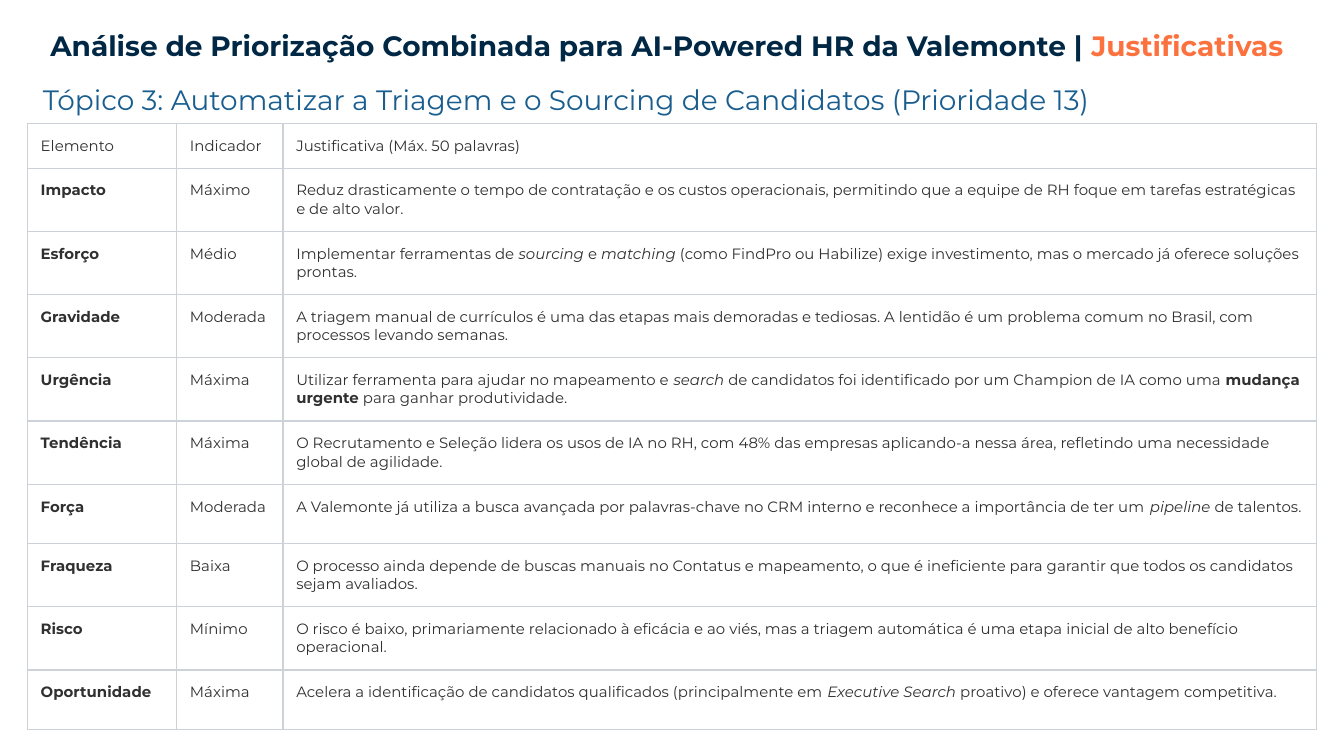
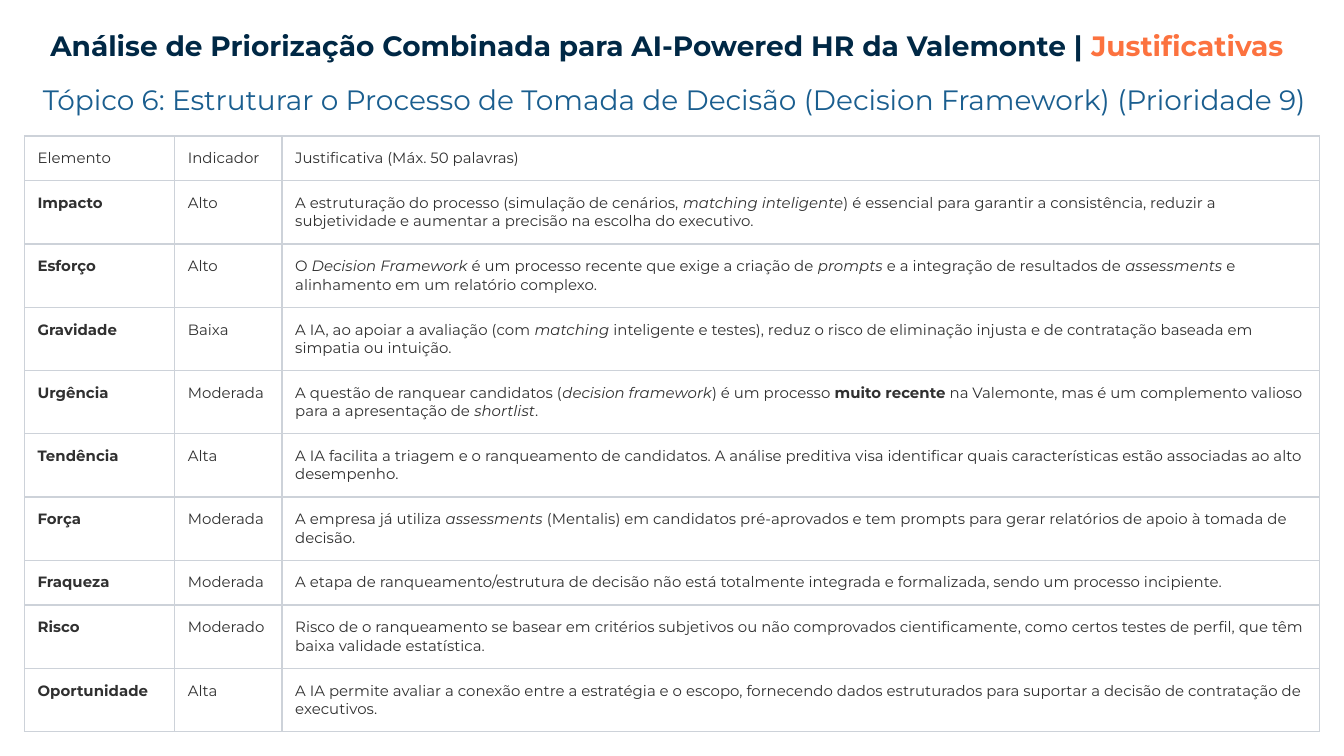
from lxml import etree
from pptx import Presentation
from pptx.dml.color import RGBColor as RGB
from pptx.enum.text import MSO_ANCHOR as Anchor, MSO_AUTO_SIZE as Fit, PP_ALIGN as Align
from pptx.oxml.ns import qn
from pptx.util import Cm, Pt

NAVY = RGB(0x00, 0x28, 0x45)
ORANGE = RGB(0xFC, 0x72, 0x3F)
BLUE = RGB(0x1A, 0x5E, 0x8F)
INK = RGB(0x30, 0x30, 0x30)
GRID = RGB(0xCD, 0xD2, 0xD9)
WHITE = RGB(0xFF, 0xFF, 0xFF)
FACE = "Montserrat"
PAD = Cm(0.25)

TITLE = "Análise de Priorização Combinada para AI-Powered HR da Valemonte | "
HEAD = ("Elemento", "Indicador", "Justificativa (Máx. 50 palavras)")
NAMES = ("Impacto", "Esforço", "Gravidade", "Urgência", "Tendência",
         "Força", "Fraqueza", "Risco", "Oportunidade")

# In the reasons, *text* is bold and _text_ is italic.
SEARCH = [
    ("Máximo", "Reduz drasticamente o tempo de contratação e os custos operacionais, "
     "permitindo que a equipe de RH foque em tarefas estratégicas e de alto valor."),
    ("Médio", "Implementar ferramentas de _sourcing_ e _matching_ (como FindPro ou Habilize) "
     "exige investimento, mas o mercado já oferece soluções prontas."),
    ("Moderada", "A triagem manual de currículos é uma das etapas mais demoradas e tediosas. "
     "A lentidão é um problema comum no Brasil, com processos levando semanas."),
    ("Máxima", "Utilizar ferramenta para ajudar no mapeamento e _search_ de candidatos foi "
     "identificado por um Champion de IA como uma *mudança urgente* para ganhar produtividade."),
    ("Máxima", "O Recrutamento e Seleção lidera os usos de IA no RH, com 48% das empresas "
     "aplicando-a nessa área, refletindo uma necessidade global de agilidade."),
    ("Moderada", "A Valemonte já utiliza a busca avançada por palavras-chave no CRM interno "
     "e reconhece a importância de ter um _pipeline_ de talentos."),
    ("Baixa", "O processo ainda depende de buscas manuais no Contatus e mapeamento, o que é "
     "ineficiente para garantir que todos os candidatos sejam avaliados."),
    ("Mínimo", "O risco é baixo, primariamente relacionado à eficácia e ao viés, mas a triagem "
     "automática é uma etapa inicial de alto benefício operacional."),
    ("Máxima", "Acelera a identificação de candidatos qualificados (principalmente em "
     "_Executive Search_ proativo) e oferece vantagem competitiva."),
]
CHOICE = [
    ("Alto", "A estruturação do processo (simulação de cenários, _matching inteligente_) é "
     "essencial para garantir a consistência, reduzir a subjetividade e aumentar a precisão "
     "na escolha do executivo."),
    ("Alto", "O _Decision Framework_ é um processo recente que exige a criação de _prompts_ e a "
     "integração de resultados de _assessments_ e alinhamento em um relatório complexo."),
    ("Baixa", "A IA, ao apoiar a avaliação (com _matching_ inteligente e testes), reduz o risco "
     "de eliminação injusta e de contratação baseada em simpatia ou intuição."),
    ("Moderada", "A questão de ranquear candidatos (_decision framework_) é um processo "
     "*muito recente* na Valemonte, mas é um complemento valioso para a apresentação de "
     "_shortlist_."),
    ("Alta", "A IA facilita a triagem e o ranqueamento de candidatos. A análise preditiva visa "
     "identificar quais características estão associadas ao alto desempenho."),
    ("Moderada", "A empresa já utiliza _assessments_ (Mentalis) em candidatos pré-aprovados e "
     "tem prompts para gerar relatórios de apoio à tomada de decisão."),
    ("Moderada", "A etapa de ranqueamento/estrutura de decisão não está totalmente integrada e "
     "formalizada, sendo um processo incipiente."),
    ("Moderado", "Risco de o ranqueamento se basear em critérios subjetivos ou não comprovados "
     "cientificamente, como certos testes de perfil, que têm baixa validade estatística."),
    ("Alta", "A IA permite avaliar a conexão entre a estratégia e o escopo, fornecendo dados "
     "estruturados para suportar a decisão de contratação de executivos."),
]


def style(para, size, color=None):
    para.font.name = FACE
    para.font.size = Pt(size)
    if color is not None:
        para.font.color.rgb = color


def frame(shape):
    """Set the text frame's padding, wrap and anchor; return its first paragraph."""
    box = shape.text_frame
    box.auto_size = Fit.NONE
    box.word_wrap = True
    box.vertical_anchor = Anchor.TOP
    box.margin_left = box.margin_right = box.margin_top = box.margin_bottom = PAD
    return box.paragraphs[0]


def add_title(slide):
    title = slide.shapes.title
    title.left, title.top, title.width, title.height = Cm(0.3), Cm(0.28), Cm(24.61), Cm(0.94)
    para = frame(title)
    para.alignment = Align.CENTER
    style(para, 15)
    para.font.bold = True
    for text, color in ((TITLE, NAVY), ("Justificativas", ORANGE)):
        run = para.add_run()
        run.text = text
        run.font.color.rgb = color


def add_topic(slide, text, width):
    box = slide.shapes.add_textbox(Cm(0.56), Cm(1.32), Cm(width), Cm(0.94))
    para = frame(box)
    para.text = text
    style(para, 15, BLUE)


def add_marked(para, text):
    """Add runs, reading *bold* and _italic_ marks."""
    for i, chunk in enumerate(text.split("*")):
        for j, part in enumerate(chunk.split("_")):
            if part:
                run = para.add_run()
                run.text = part
                if i % 2:
                    run.font.bold = True
                if j % 2:
                    run.font.italic = True


def add_edges(cell):
    props = cell._tc.get_or_add_tcPr()
    for i, side in enumerate(("a:lnL", "a:lnR", "a:lnT", "a:lnB")):
        line = etree.Element(qn(side), w=str(Pt(0.75)))
        fill = etree.SubElement(line, qn("a:solidFill"))
        etree.SubElement(fill, qn("a:srgbClr"), val=str(GRID))
        props.insert(i, line)


def fill_cell(cell, text):
    cell.margin_left = cell.margin_right = cell.margin_top = cell.margin_bottom = PAD
    cell.vertical_anchor = Anchor.TOP
    cell.fill.solid()
    cell.fill.fore_color.rgb = WHITE
    add_edges(cell)
    para = cell.text_frame.paragraphs[0]
    add_marked(para, text)
    style(para, 8, INK)


def add_grid(slide, left, top, widths, head, body, facts):
    rows = [HEAD] + [(f"*{name}*", *fact) for name, fact in zip(NAMES, facts)]
    high = head + body * len(facts)
    grid = slide.shapes.add_table(len(rows), len(HEAD), Cm(left), Cm(top),
                                  Cm(sum(widths)), Cm(high)).table
    grid.first_row = grid.horz_banding = False
    for col, width in zip(grid.columns, widths):
        col.width = Cm(width)
    for r, row in enumerate(rows):
        grid.rows[r].height = Cm(body if r else head)
        for c, text in enumerate(row):
            fill_cell(grid.cell(r, c), text)


def add_slide(deck, topic, width, **grid):
    slide = deck.slides.add_slide(deck.slide_layouts[5])
    add_topic(slide, topic, width)
    add_title(slide)
    add_grid(slide, **grid)


def main():
    deck = Presentation()
    deck.slide_width, deck.slide_height = Cm(25.4), Cm(14.29)
    add_slide(deck, "Tópico 3: Automatizar a Triagem e o Sourcing de Candidatos (Prioridade 13)",
              21.77, left=0.52, top=2.33, widths=(2.82, 2.01, 19.53),
              head=0.74, body=1.12, facts=SEARCH)
    add_slide(deck, "Tópico 6: Estruturar o Processo de Tomada de Decisão "
              "(Decision Framework) (Prioridade 9)",
              24.46, left=0.46, top=2.57, widths=(2.84, 2.03, 19.61),
              head=0.53, body=0.84, facts=CHOICE)
    deck.save("out.pptx")


if __name__ == "__main__":
    main()
